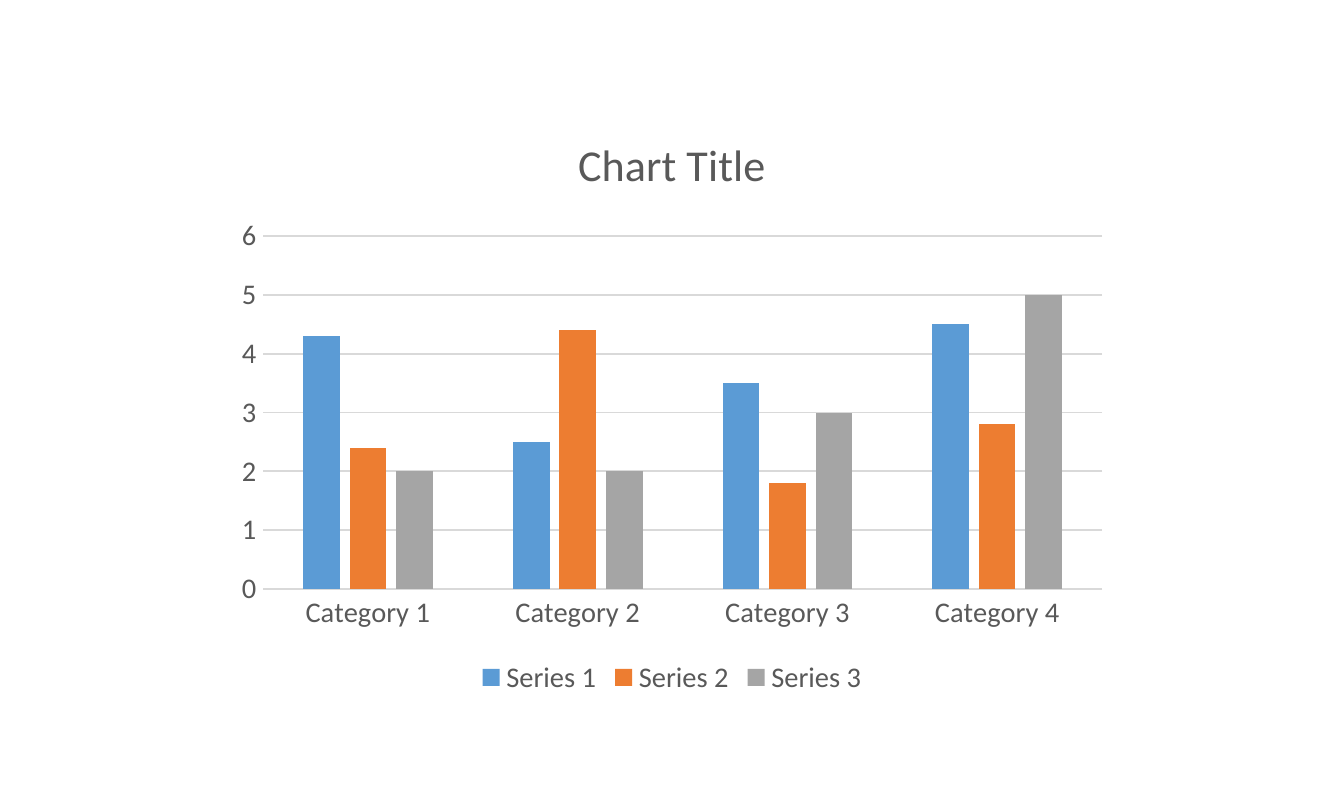
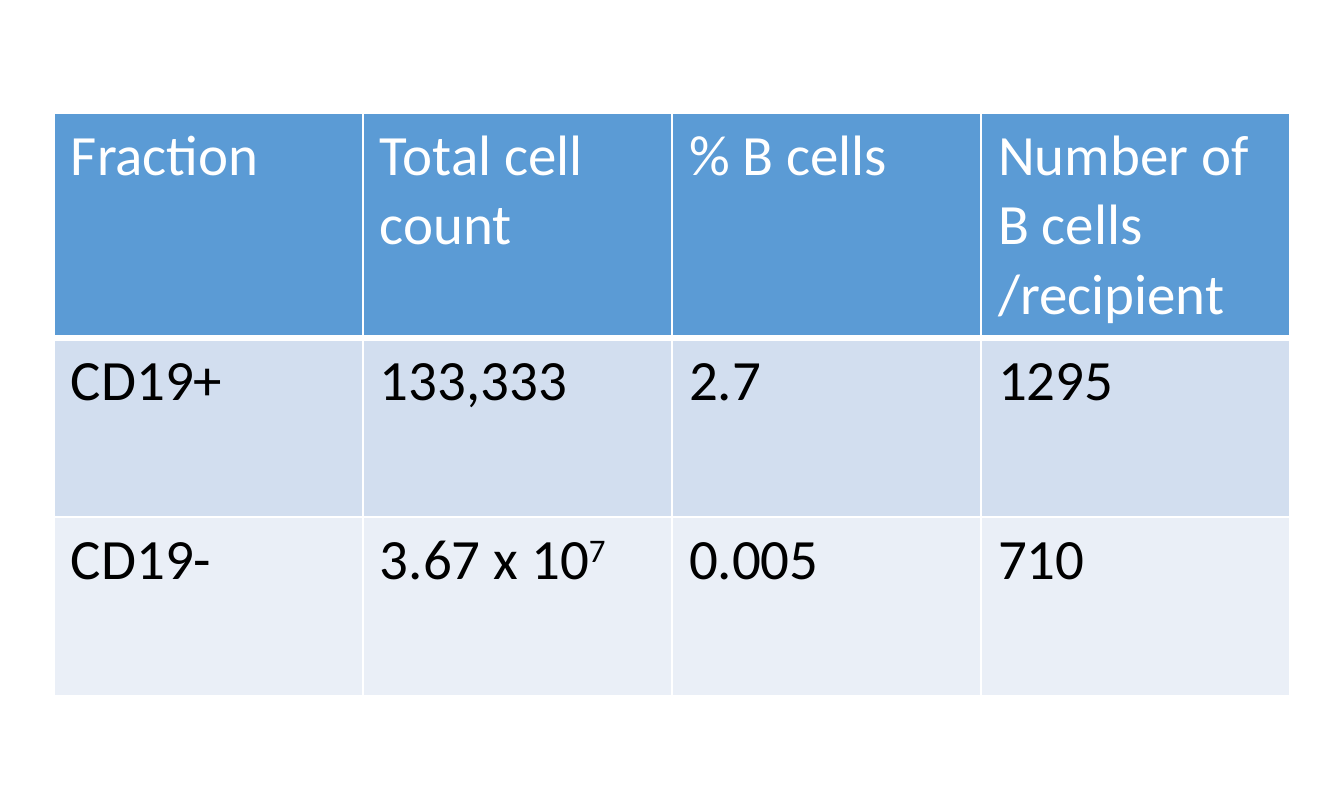
from lxml import etree
from pptx import Presentation
from pptx import util as u
from pptx.chart import data as chart_data
from pptx.dml import color as dml
from pptx.enum import chart as chart_enum
from pptx.oxml import ns

FONT = "Calibri"
WHITE, BLACK, GREY, RULE = "FFFFFF", "000000", "595959", "D9D9D9"
BLUE, ORANGE, SILVER = "5B9BD5", "ED7D31", "A5A5A5"


def style_font(font, size, colour):
    font.name = FONT
    font.size = u.Pt(size)
    font.bold = False
    font.color.rgb = dml.RGBColor.from_string(colour)


def paint(target, colour):
    target.solid()
    target.fore_color.rgb = dml.RGBColor.from_string(colour)


presentation = Presentation()
presentation.slide_width = u.Inches(7.87)
presentation.slide_height = u.Inches(4.72)
width, height = presentation.slide_width, presentation.slide_height
blank = presentation.slide_layouts[6]

slide = presentation.slides.add_slide(blank)
chart_values = chart_data.CategoryChartData()
chart_values.categories = [f"Category {number}" for number in range(1, 5)]
series_list = [
    ("Series 1", (4.3, 2.5, 3.5, 4.5), BLUE),
    ("Series 2", (2.4, 4.4, 1.8, 2.8), ORANGE),
    ("Series 3", (2, 2, 3, 5), SILVER),
]
for name, values, colour in series_list:
    chart_values.add_series(name, values)
chart = slide.shapes.add_chart(
    chart_enum.XL_CHART_TYPE.COLUMN_CLUSTERED,
    int(width / 6), int(height * 0.13), int(width * 2 / 3), int(height * 0.74),
    chart_values,
).chart
style_font(chart.font, 10, BLACK)

chart.has_title = True
title_run = chart.chart_title.text_frame.paragraphs[0].add_run()
title_run.text = "Chart Title"
style_font(title_run.font, 18.6, GREY)
chart.chart_title.include_in_layout = False

chart.has_legend = True
chart.legend.position = chart_enum.XL_LEGEND_POSITION.BOTTOM
chart.legend.include_in_layout = False
style_font(chart.legend.font, 12, GREY)

for axis in (chart.category_axis, chart.value_axis):
    axis.major_tick_mark = chart_enum.XL_TICK_MARK.NONE
    axis.minor_tick_mark = chart_enum.XL_TICK_MARK.NONE
    style_font(axis.tick_labels.font, 12, GREY)
chart.value_axis.format.line.fill.background()
for line in (chart.category_axis.format.line, chart.value_axis.major_gridlines.format.line):
    paint(line.fill, RULE)
    line.width = u.Pt(0.75)

plot = chart.plots[0]
plot.gap_width = 219
plot.overlap = -27
plot.vary_by_categories = False
for series, (name, values, colour) in zip(plot.series, series_list):
    paint(series.format.fill, colour)

slide = presentation.slides.add_slide(blank)
rows = [
    ("Fraction", "Total cell count", "% B cells", "Number of B cells /recipient"),
    ("CD19+", "133,333", "2.7", "1295"),
    ("CD19-", "3.67 x 10^7", "0.005", "710"),
]
row_styles = [
    (1 / 4, BLUE, WHITE, 3),
    (2 / 9, "D2DEEF", BLACK, 1),
    (2 / 9, "EAEFF7", BLACK, 1),
]
table = slide.shapes.add_table(
    len(rows), len(rows[0]),
    int(width * 0.04), int(height * 0.14), int(width * 0.92),
    int(height * sum(style[0] for style in row_styles)),
).table
for row, texts, (share, fill, ink, bottom) in zip(table.rows, rows, row_styles):
    row.height = int(height * share)
    for cell, content in zip(row.cells, texts):
        properties = cell._tc.get_or_add_tcPr()
        for side, points in (("L", 1), ("R", 1), ("T", 1), ("B", bottom)):
            border = etree.SubElement(properties, ns.qn(f"a:ln{side}"), w=str(u.Pt(points)))
            solid = etree.SubElement(border, ns.qn("a:solidFill"))
            etree.SubElement(solid, ns.qn("a:srgbClr"), val=WHITE)
        paint(cell.fill, fill)
        paragraph = cell.text_frame.paragraphs[0]
        for position, part in enumerate(content.split("^")):
            run = paragraph.add_run()
            run.text = part
            style_font(run.font, 24, ink)
            if position:
                run._r.get_or_add_rPr().set("baseline", "30000")

presentation.save("out.pptx")
